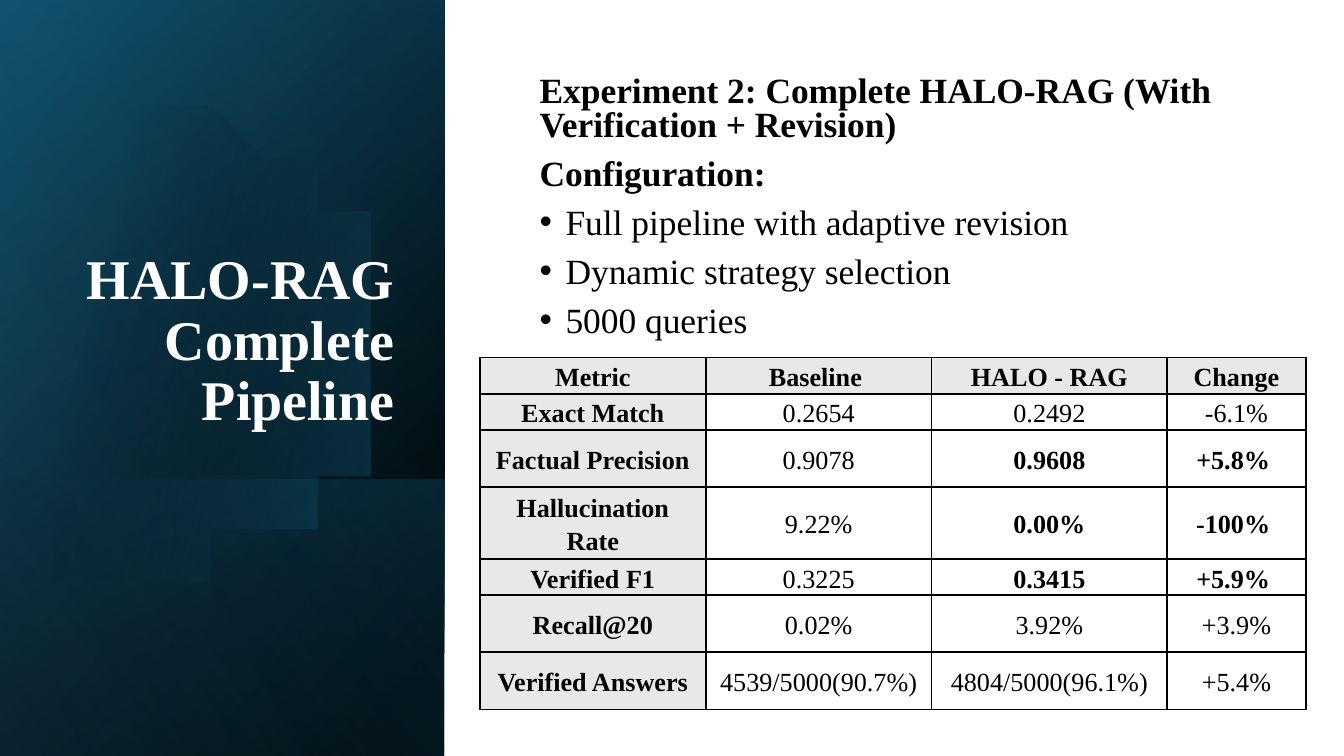
from lxml.etree import SubElement
from pptx import Presentation
from pptx.dml.color import RGBColor
from pptx.enum.shapes import MSO_SHAPE as Shape
from pptx.enum.text import MSO_ANCHOR as Anchor, PP_ALIGN as Align
from pptx.oxml.ns import qn
from pptx.util import Cm, Pt

COLORS = {
    "white": "FFFFFF", "black": "000000", "header": "E8E8E8",
    "navy": "0F4861", "teal": "156082", "sky": "43AFE2",
}
FONT = "Times New Roman"
SLIDE_WIDTH, SLIDE_HEIGHT, PANEL_WIDTH = 25.4, 14.29, 8.4


class SlideBuilder:
    def __init__(self, slide):
        self.slide = slide

    def rgb(self, color):
        return RGBColor.from_string(COLORS[color])

    def plain(self, shape):
        shape.shadow.inherit = False
        shape.line.fill.background()

    def rectangle(self, left, top, width, height):
        shape = self.slide.shapes.add_shape(
            Shape.RECTANGLE, Cm(left), Cm(top), Cm(width), Cm(height))
        self.plain(shape)
        return shape

    def gradient(self, shape, stops, angle):
        """Fill with (position %, colour, opacity %) stops; angle is clockwise."""
        shape.fill.gradient()
        shape.fill.gradient_angle = 360 - angle
        stop_list = shape._element.spPr.find(qn("a:gradFill")).find(qn("a:gsLst"))
        stop_list.clear()
        for position, color, opacity in stops:
            stop = SubElement(stop_list, qn("a:gs"), pos=str(position * 1000))
            value = SubElement(stop, qn("a:srgbClr"), val=COLORS[color])
            SubElement(value, qn("a:alpha"), val=str(opacity * 1000))

    def side_panel(self, top, height, stops, angle):
        """Left-hand panel, drawn as a mirrored rectangle turned by 90 degrees."""
        shift = (PANEL_WIDTH - height) / 2
        shape = self.rectangle(shift, top - shift, height, PANEL_WIDTH)
        shape.rotation = 90
        shape._element.spPr.find(qn("a:xfrm")).set("flipH", "1")
        self.gradient(shape, stops, angle)

    def curved_outline(self, start, segments, stops, angle, steps=16):
        """Closed outline of Bezier segments (three points) and lines (one point)."""
        points, current = [], start
        for segment in segments:
            if len(segment) == 1:
                points.append(segment[0])
            else:
                controls = (current, *segment)
                for step in range(1, steps + 1):
                    t = step / steps
                    weights = ((1 - t) ** 3, 3 * t * (1 - t) ** 2,
                               3 * t * t * (1 - t), t ** 3)
                    points.append(tuple(
                        sum(w * c[axis] for w, c in zip(weights, controls))
                        for axis in (0, 1)))
            current = segment[-1]
        outline = self.slide.shapes.build_freeform(*start, scale=Cm(1))
        outline.add_line_segments(points, close=True)
        shape = outline.convert_to_shape()
        self.plain(shape)
        self.gradient(shape, stops, angle)

    def run(self, paragraph, text, size, color="black", bold=False):
        run = paragraph.add_run()
        run.text = text
        run.font.name, run.font.size, run.font.bold = FONT, Pt(size), bold
        run.font.color.rgb = self.rgb(color)

    def text_frame(self, left, top, width, height, anchor):
        box = self.slide.shapes.add_textbox(Cm(left), Cm(top), Cm(width), Cm(height))
        frame = box.text_frame
        frame.word_wrap = True
        frame.vertical_anchor = anchor
        frame.margin_left = frame.margin_right = Cm(0.19)
        frame.margin_top = frame.margin_bottom = Cm(0.1)
        return frame

    def title(self, text, *place):
        paragraph = self.text_frame(*place, Anchor.BOTTOM).paragraphs[0]
        paragraph.alignment, paragraph.line_spacing = Align.RIGHT, 0.9
        self.run(paragraph, text, 30, "white", True)

    def body(self, headings, bullets, *place):
        frame = self.text_frame(*place, Anchor.MIDDLE)
        for index, text in enumerate(headings + bullets):
            paragraph = frame.add_paragraph() if index else frame.paragraphs[0]
            paragraph.line_spacing = 0.8
            paragraph.space_before = Pt(8 if index else 0)
            is_bullet = index >= len(headings)
            if is_bullet:
                self.bullet(paragraph)
            self.run(paragraph, text, 19, bold=not is_bullet)

    def bullet(self, paragraph):
        properties = paragraph._p.get_or_add_pPr()
        properties.set("marL", str(Cm(0.49)))
        properties.set("indent", str(-Cm(0.49)))
        SubElement(properties, qn("a:buFont"), typeface="Arial")
        SubElement(properties, qn("a:buChar"), char="•")

    def borders(self, cell):
        properties = cell._tc.get_or_add_tcPr()
        for index, side in enumerate(("lnL", "lnR", "lnT", "lnB")):
            line = properties.makeelement(qn(f"a:{side}"), {"w": str(Pt(1))})
            fill = SubElement(line, qn("a:solidFill"))
            SubElement(fill, qn("a:srgbClr"), val=COLORS["black"])
            properties.insert(index, line)

    def table(self, rows, bold_cells, left, top, widths, heights):
        table = self.slide.shapes.add_table(
            len(rows), len(widths), Cm(left), Cm(top),
            Cm(sum(widths)), Cm(sum(heights))).table
        for column, width in zip(table.columns, widths):
            column.width = Cm(width)
        for row, height in zip(table.rows, heights):
            row.height = Cm(height)
        for r, texts in enumerate(rows):
            for c, text in enumerate(texts):
                is_header = r == 0 or c == 0
                cell = table.cell(r, c)
                cell.fill.solid()
                cell.fill.fore_color.rgb = self.rgb("header" if is_header else "white")
                cell.vertical_anchor = Anchor.MIDDLE
                cell.margin_left = cell.margin_right = Cm(0.15)
                cell.margin_top = cell.margin_bottom = 0
                self.borders(cell)
                paragraph = cell.text_frame.paragraphs[0]
                paragraph.alignment, paragraph.line_spacing = Align.CENTER, 1.15
                self.run(paragraph, text, 14, bold=is_header or (r, c) in bold_cells)


def main():
    presentation = Presentation()
    presentation.slide_width, presentation.slide_height = Cm(SLIDE_WIDTH), Cm(SLIDE_HEIGHT)
    builder = SlideBuilder(presentation.slides.add_slide(presentation.slide_layouts[6]))

    background = builder.rectangle(0, 0, SLIDE_WIDTH, SLIDE_HEIGHT)
    background.fill.solid()
    background.fill.fore_color.rgb = builder.rgb("white")

    builder.side_panel(0, SLIDE_HEIGHT, [
        (0, "black", 100), (8, "black", 100), (100, "navy", 100)], 50)
    builder.side_panel(0, SLIDE_HEIGHT, [
        (0, "black", 0), (99, "teal", 46), (100, "teal", 46)], 30)
    builder.side_panel(9.07, 5.22, [
        (0, "teal", 29), (2, "teal", 29), (100, "black", 30)], 130)
    builder.curved_outline((2.82, 2.11), [
        [(4.7, 2.13), (6.38, 3.37), (6.93, 5.26)],
        [(7.59, 7.57), (6.25, 9.98), (3.94, 10.64)],
        [(2.49, 11.05), (1.02, 10.69), (-0.05, 9.8)],
        [(-0.28, 9.58)], [(-0.28, 3.33)], [(0, 3.07)],
        [(0.43, 2.72), (0.97, 2.44), (1.52, 2.26)],
        [(1.96, 2.13), (2.41, 2.08), (2.82, 2.11)],
    ], [(0, "black", 0), (29, "black", 0), (100, "teal", 43)], 14)
    builder.side_panel(0, SLIDE_HEIGHT, [
        (0, "black", 0), (99, "sky", 11), (100, "sky", 11)], 120)

    builder.title("HALO-RAG Complete Pipeline", 0.97, 1.22, 6.68, 7.06)
    builder.body(
        ["Experiment 2: Complete HALO-RAG (With Verification + Revision)",
         "Configuration:"],
        ["Full pipeline with adaptive revision", "Dynamic strategy selection",
         "5000 queries"],
        10.01, 1.22, 14.81, 5.44)

    rows = [
        ("Metric", "Baseline ", "HALO - RAG", "Change"),
        ("Exact Match", "0.2654", "0.2492", "-6.1%"),
        ("Factual Precision", "0.9078", "0.9608", "+5.8% "),
        ("Hallucination Rate", "9.22%", "0.00%", "-100% "),
        ("Verified F1", "0.3225", "0.3415", "+5.9% "),
        ("Recall@20", "0.02%", "3.92%", "+3.9%"),
        ("Verified Answers", "4539/5000(90.7%)", "4804/5000(96.1%)", "+5.4%"),
    ]
    improved = {(row, column) for row in (2, 3, 4) for column in (2, 3)}
    short, tall = 0.68, 1.08
    builder.table(rows, improved, 9.07, 6.76, [4.27, 4.27, 4.45, 2.62],
                  [short, short, tall, 1.23, short, tall, tall])
    presentation.save("out.pptx")


if __name__ == "__main__":
    main()
